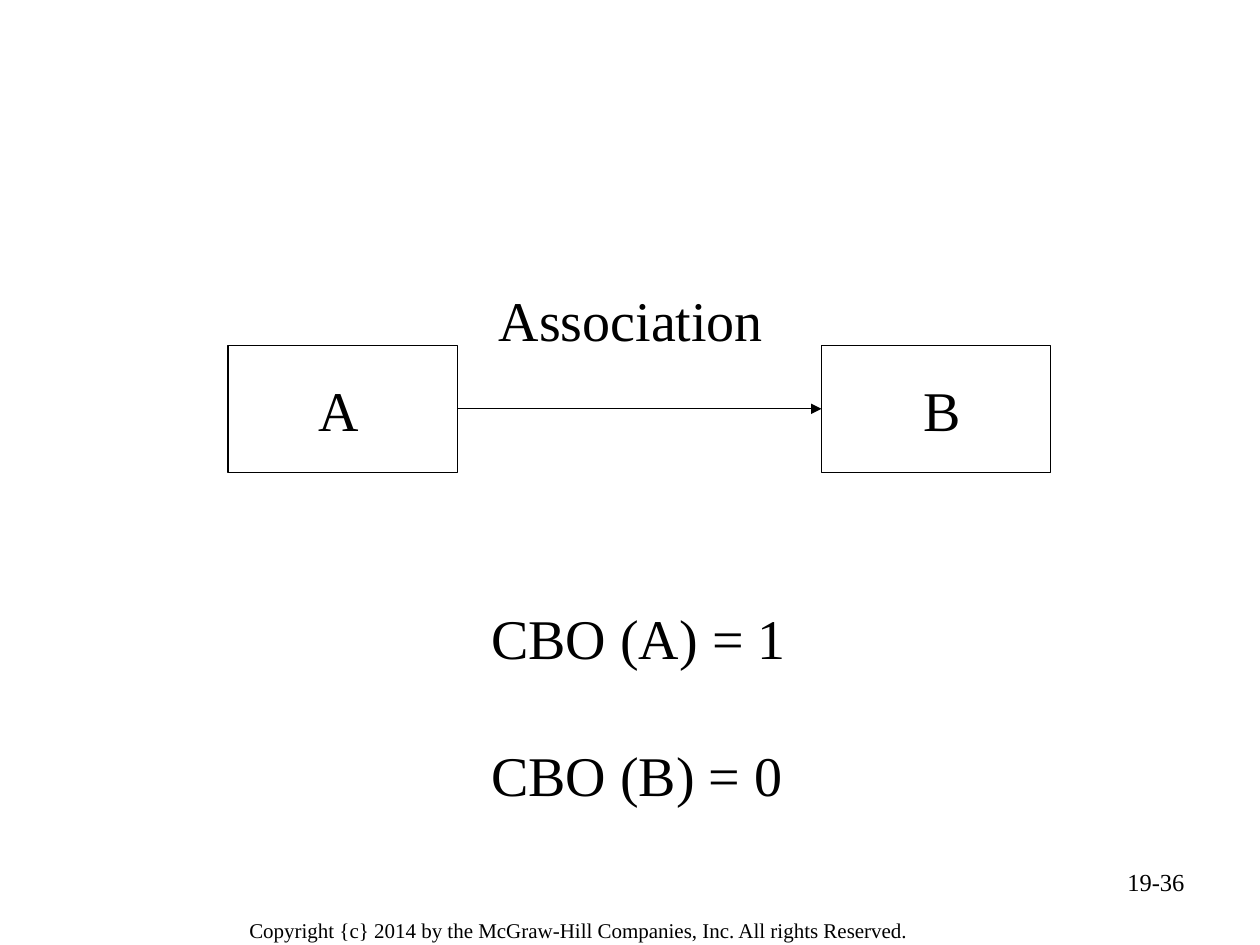
import pptx
import pptx.dml.color
import pptx.enum.shapes
import pptx.enum.text
import pptx.oxml
import pptx.oxml.ns
import pptx.util
from pptx.util import Inches

BLACK = pptx.dml.color.RGBColor(0, 0, 0)
FONT = "Times New Roman"
ALIGN = pptx.enum.text.PP_ALIGN


def add_text(s, box, lines, size=32, align=ALIGN.LEFT, wrap=False, gap=0):
    """Place lines of text in box; gap is the space between them in points."""
    tf = s.shapes.add_textbox(*map(Inches, box)).text_frame
    tf.word_wrap = wrap
    for i, line in enumerate(lines):
        p = tf.paragraphs[0] if i == 0 else tf.add_paragraph()
        p.alignment = align
        if i:
            p.space_before = pptx.util.Pt(gap)
        r = p.add_run()
        r.text = line
        r.font.name = FONT
        r.font.size = pptx.util.Pt(size)
        r.font.color.rgb = BLACK


def add_class_box(s, box):
    sp = s.shapes.add_shape(
        pptx.enum.shapes.MSO_SHAPE.RECTANGLE, *map(Inches, box))
    sp.shadow.inherit = False
    sp.fill.background()
    sp.line.color.rgb = BLACK
    sp.line.width = pptx.util.Pt(0.75)
    return sp


def add_arrow(s, source, target):
    """Join the right side of source to the left side of target."""
    line = s.shapes.add_connector(
        pptx.enum.shapes.MSO_CONNECTOR.STRAIGHT, 0, 0, 0, 0)
    line.begin_connect(source, 3)
    line.end_connect(target, 1)
    line.line.color.rgb = BLACK
    line.line.width = pptx.util.Pt(0.75)
    pptx.oxml.ns.qn("a:ln")
    ln = line.line._get_or_add_ln()
    ln.append(pptx.oxml.parse_xml(
        '<a:tailEnd %s type="triangle"/>' % pptx.oxml.ns.nsdecls("a")))
    ln.addnext(pptx.oxml.parse_xml(
        "<a:effectLst %s/>" % pptx.oxml.ns.nsdecls("a")))


def add_diagram(s, left, top, width, height):
    """Class A associated with class B, at the two ends of the given box."""
    box_width = 1.82
    a = add_class_box(s, (left, top, box_width, height))
    b = add_class_box(s, (left + width - box_width, top, box_width, height))
    add_arrow(s, a, b)
    label_top = top + 0.19
    add_text(s, (left + 0.62, label_top, 0.52, 0.64), ["A"])
    add_text(s, (left + 5.42, label_top, 0.49, 0.64), ["B"])
    add_text(s, (left + 2.05, top - 0.52, 2.3, 0.64), ["Association"])


def add_footer(s, left, top, width, height):
    add_text(s, (left, top + 0.4, 6.19, height - 0.4),
             ["Copyright {c} 2014 by the McGraw-Hill Companies, Inc. "
              "All rights Reserved."], size=12, wrap=True)
    add_text(s, (left + width - 2.33, top, 2.33, 0.52), ["19-36"],
             size=14, align=ALIGN.RIGHT, wrap=True)


def main():
    prs = pptx.Presentation()
    prs.slide_width, prs.slide_height = Inches(10), Inches(7.5)
    s = prs.slides.add_slide(prs.slide_layouts[6])
    add_footer(s, 1.88, 6.83, 7.62, 0.7)
    add_diagram(s, 1.81, 2.74, 6.53, 1.01)
    add_text(s, (3.8, 4.74, 2.54, 1.7), ["CBO (A) = 1", "CBO (B) = 0"], gap=40)
    prs.save("out.pptx")


if __name__ == "__main__":
    main()
